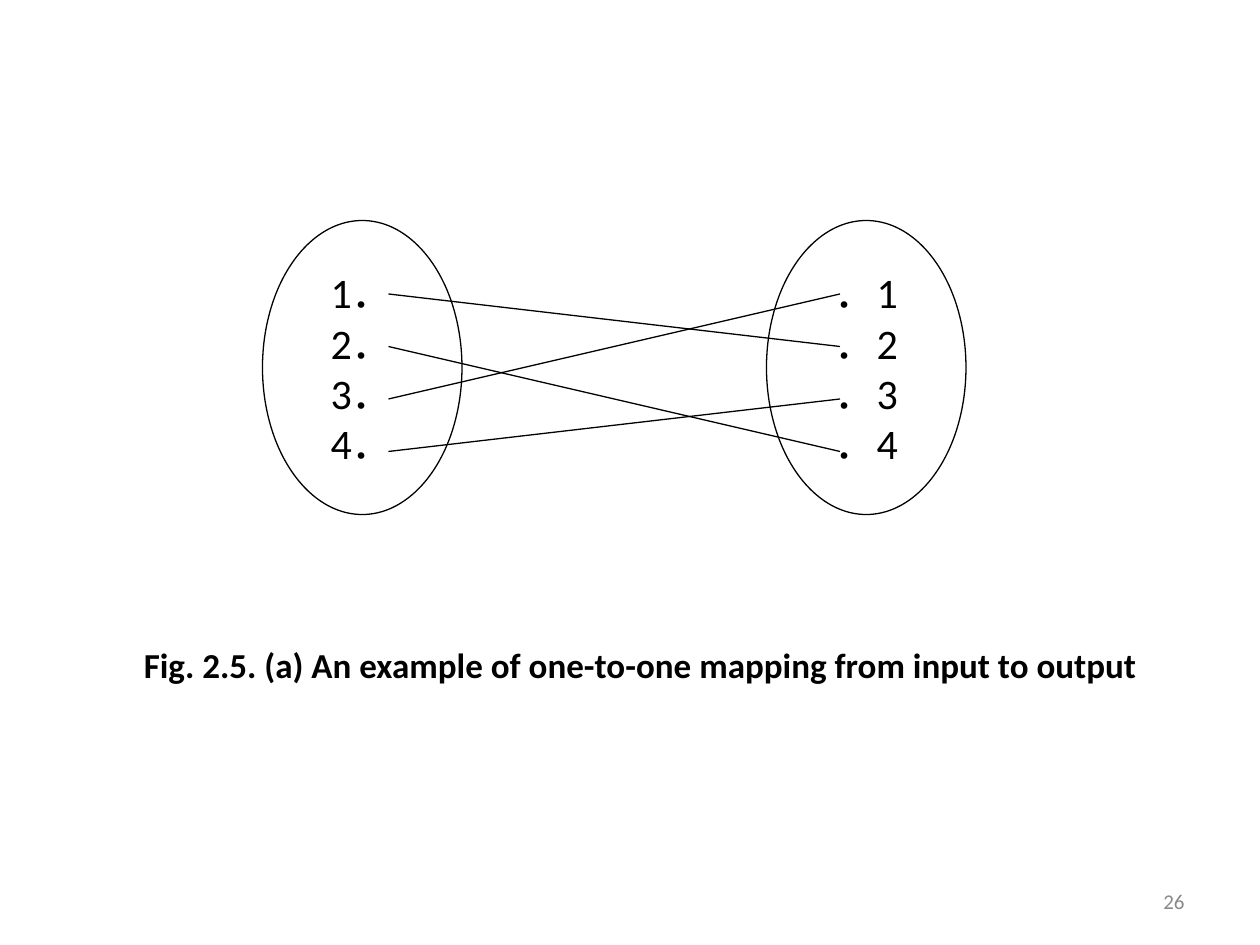
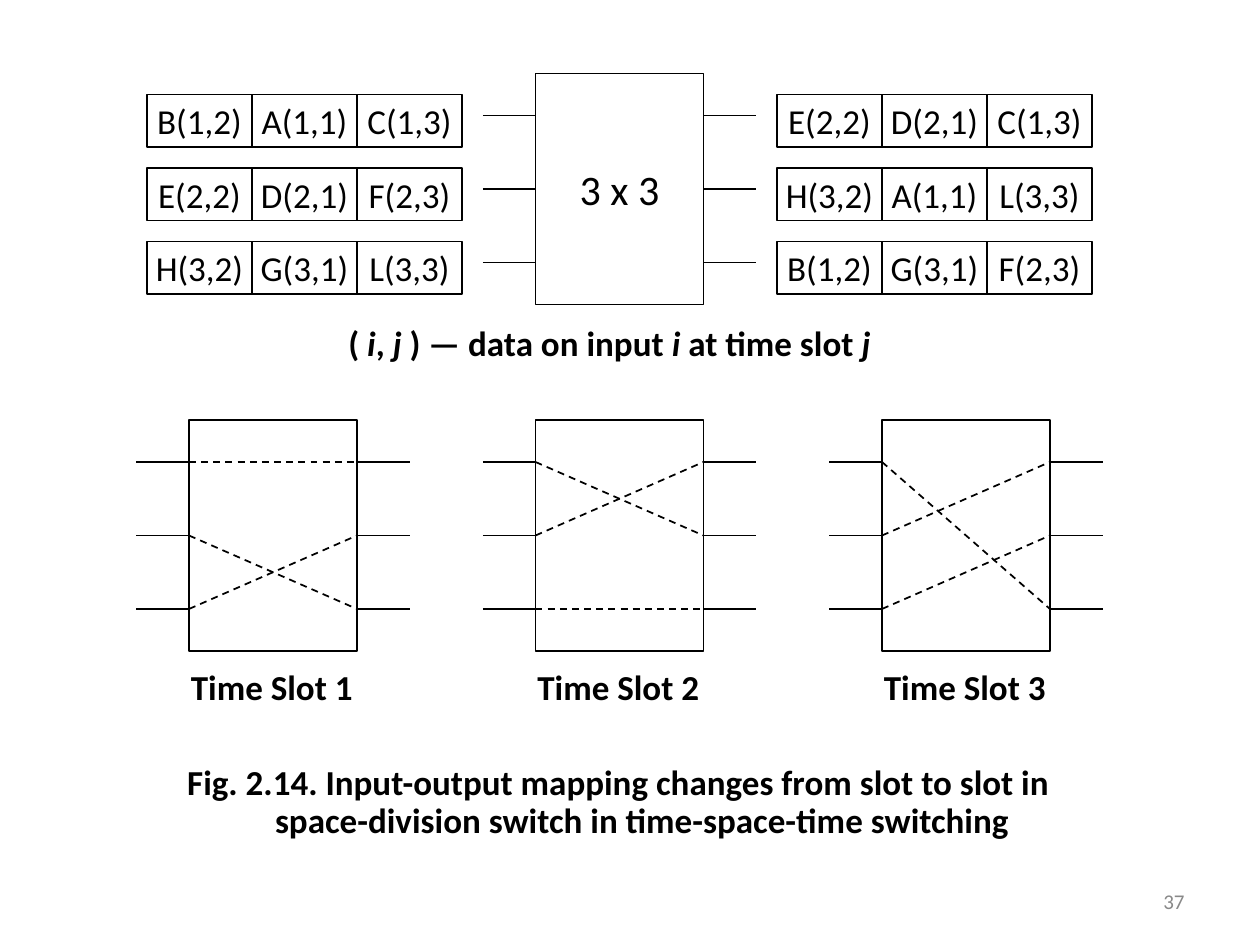
from lxml import etree
from pptx import Presentation
from pptx.dml.color import RGBColor
from pptx.enum.dml import MSO_LINE
from pptx.enum.shapes import MSO_CONNECTOR, MSO_SHAPE
from pptx.enum.text import MSO_ANCHOR, MSO_AUTO_SIZE, PP_ALIGN
from pptx.oxml.ns import qn
from pptx.util import Emu, Pt

PX = 7620
BLACK, GRAY = "000000", "898989"
FONT = "Calibri"
LEFT, CENTER, RIGHT = PP_ALIGN.LEFT, PP_ALIGN.CENTER, PP_ALIGN.RIGHT
TOP, MIDDLE = MSO_ANCHOR.TOP, MSO_ANCHOR.MIDDLE
FIT_TEXT = MSO_AUTO_SIZE.SHAPE_TO_FIT_TEXT
RECTANGLE, OVAL = MSO_SHAPE.RECTANGLE, MSO_SHAPE.OVAL
STRAIGHT, DASH = MSO_CONNECTOR.STRAIGHT, MSO_LINE.DASH

SWITCH_WIDTH, SWITCH_HEIGHT = 160, 220
PORT_TOP, PORT_GAP, STUB = 40, 70, 50
CELL_WIDTH, CELL_HEIGHT = 100, 50


def px(length):
    return Emu(length * PX)


def color(value):
    return RGBColor.from_string(value)


class Deck:
    def __init__(self):
        self.presentation = Presentation()
        self.presentation.slide_width = px(1200)
        self.presentation.slide_height = px(900)
        self.slide = None

    def new_slide(self, number):
        self.slide = self.presentation.slides.add_slide(self.presentation.slide_layouts[6])
        self.text_box(860, 834, 280, 48, str(number), 12, align=RIGHT, anchor=MIDDLE, ink=GRAY)

    def set_text(self, shape, text, size, bold=False, align=CENTER, anchor=MIDDLE, wrap=False, ink=BLACK):
        frame = shape.text_frame
        frame.text = text
        frame.word_wrap = wrap
        frame.vertical_anchor = anchor
        for paragraph in frame.paragraphs:
            paragraph.alignment = align
            pieces = paragraph.text.split("*")
            if len(pieces) > 1:
                paragraph.text = pieces[0]
                for index, piece in enumerate(pieces[1:], 1):
                    run = paragraph.add_run()
                    run.text = piece
                    run.font.italic = index % 2 == 1
            for run in paragraph.runs:
                run.font.name = FONT
                run.font.size = Pt(size)
                run.font.bold = bold
                run.font.color.rgb = color(ink)

    def text_box(self, x, y, width, height, text, size, bold=False, align=LEFT, anchor=TOP, ink=BLACK):
        box = self.slide.shapes.add_textbox(px(x), px(y), px(width), px(height))
        self.set_text(box, text, size, bold, align, anchor, True, ink)
        return box

    def caption(self, x, y, width, text):
        box = self.text_box(x, y, width, 90, text, 20, True, CENTER, MIDDLE)
        paragraph = box.text_frame.paragraphs[0]
        paragraph.line_spacing = 0.9
        properties = paragraph._p.get_or_add_pPr()
        properties.set("marL", str(px(45)))
        properties.set("indent", str(px(-45)))

    def label(self, x, y, width, text):
        box = self.text_box(x, y, width, 53, text, 20, True)
        box.text_frame.word_wrap = False
        box.text_frame.auto_size = FIT_TEXT

    def outline(self, kind, x, y, width, height, text="", size=24):
        shape = self.slide.shapes.add_shape(kind, px(x), px(y), px(width), px(height))
        shape.shadow.inherit = False
        shape.fill.background()
        shape.line.color.rgb = color(BLACK)
        shape.line.width = Pt(0.75)
        if text:
            self.set_text(shape, text, size)

    def line(self, x1, y1, x2, y2, dashed=False):
        connector = self.slide.shapes.add_connector(STRAIGHT, px(x1), px(y1), px(x2), px(y2))
        connector.line.color.rgb = color(BLACK)
        connector.line.width = Pt(1 if dashed else 0.75)
        if dashed:
            connector.line.dash_style = DASH
        etree.SubElement(connector._element.spPr, qn("a:effectLst"))

    def mapping(self, left, right, top, gap, outputs, dashed=False):
        for row, output in enumerate(outputs):
            self.line(left, top + row * gap, right, top + (output - 1) * gap, dashed)

    def switch(self, x, y, text="", outputs=()):
        self.outline(RECTANGLE, x, y, SWITCH_WIDTH, SWITCH_HEIGHT, text)
        right = x + SWITCH_WIDTH
        for stub_left in (x - STUB, right):
            self.mapping(stub_left, stub_left + STUB, y + PORT_TOP, PORT_GAP, (1, 2, 3))
        self.mapping(x, right, y + PORT_TOP, PORT_GAP, outputs, True)

    def frames(self, x, y, rows):
        for row, cells in enumerate(rows):
            for column, cell in enumerate(cells.split()):
                self.outline(RECTANGLE, x + column * CELL_WIDTH, y + row * PORT_GAP,
                             CELL_WIDTH, CELL_HEIGHT, cell, 20)


def one_to_one_slide(deck):
    deck.new_slide(26)
    deck.caption(60, 590, 1100, "Fig. 2.5. (a) An example of one-to-one mapping from input to output")
    for x, pattern in ((250, "{}．"), (730, "．{}")):
        deck.outline(OVAL, x, 210, 190, 280, "\n".join(pattern.replace("{}", str(n)) for n in range(1, 5)))
    deck.mapping(370, 800, 280, 50, (2, 4, 1, 3))


def time_slot_slide(deck):
    deck.new_slide(37)
    deck.caption(100, 720, 978, "Fig. 2.14. Input-output mapping changes from slot to slot in\v"
                                "space-division switch in time-space-time switching")
    deck.frames(140, 90, ("B(1,2) A(1,1) C(1,3)", "E(2,2) D(2,1) F(2,3)", "H(3,2) G(3,1) L(3,3)"))
    deck.switch(510, 70, "3 x 3")
    deck.frames(740, 90, ("E(2,2) D(2,1) C(1,3)", "H(3,2) A(1,1) L(3,3)", "B(1,2) G(3,1) F(2,3)"))
    deck.label(320, 300, 522, "( *i*, *j* ) — data on input *i* at time slot *j*")
    for slot, outputs in enumerate(((1, 3, 2), (2, 1, 3), (3, 1, 2))):
        x = 180 + slot * 330
        deck.switch(x, 400, outputs=outputs)
        deck.label(x - 10, 628, 178, f"Time Slot {slot + 1}")


def main():
    deck = Deck()
    one_to_one_slide(deck)
    time_slot_slide(deck)
    deck.presentation.save("out.pptx")


if __name__ == "__main__":
    main()
